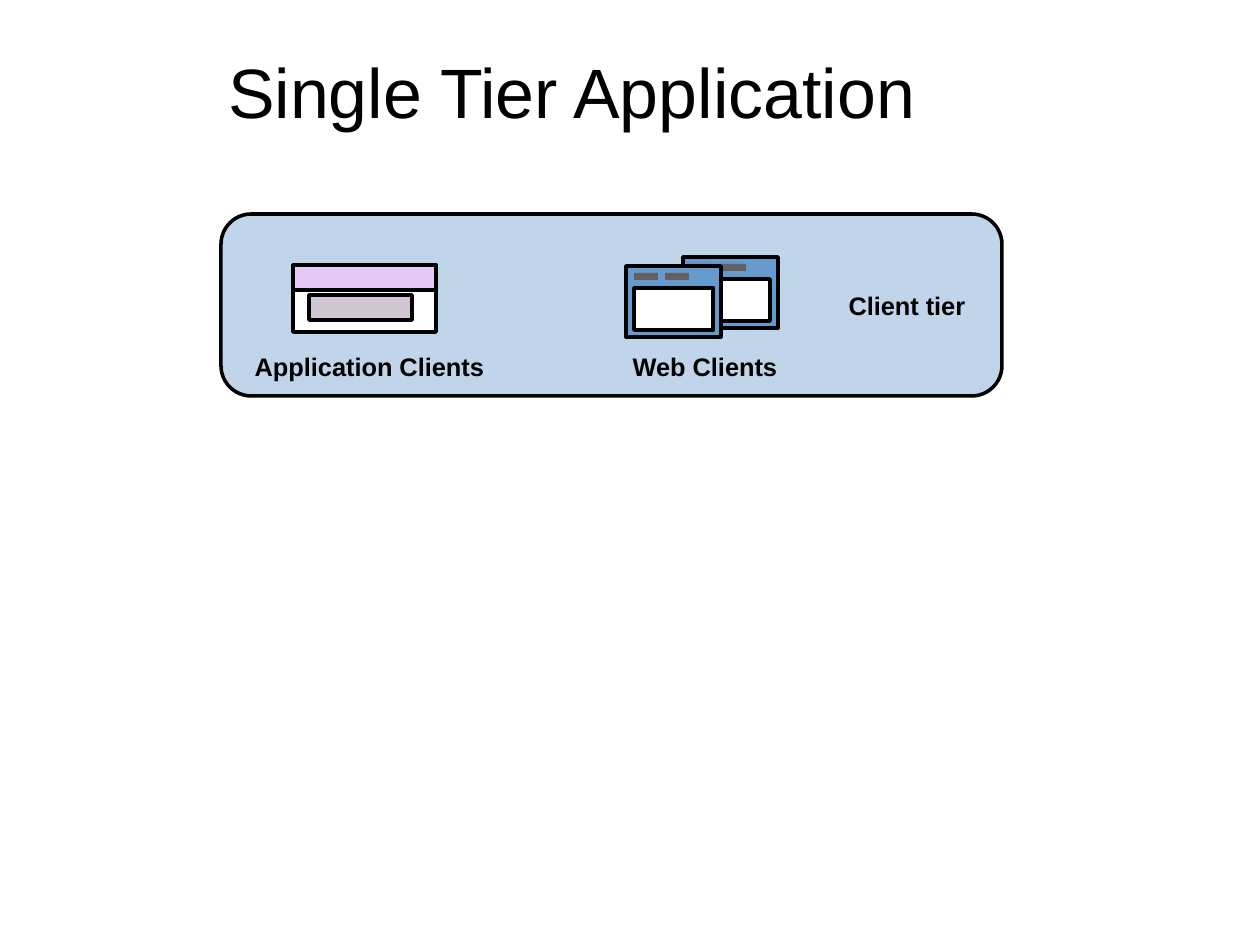
from dataclasses import dataclass

from pptx import Presentation
from pptx import util as u
from pptx.dml.color import RGBColor
from pptx.enum import shapes, text
from pptx.shapes.autoshape import Shape
from pptx.shapes.shapetree import GroupShapes, SlideShapes
from pptx.text.text import TextFrame

PX = 8000
SLIDE_WIDTH = 1260
SLIDE_HEIGHT = 945
KIND = shapes.MSO_SHAPE


@dataclass(frozen=True)
class Theme:
    font: str = "Arial"
    title_size: int = 44
    label_size: int = 16
    line_width: float = 2.25
    ink: str = "000000"
    paper: str = "FFFFFF"
    tier: str = "C0D5EA"
    app_bar: str = "E7C9F5"
    app_field: str = "D0C5D3"
    browser: str = "6699CC"
    tab: str = "616161"


THEME = Theme()


@dataclass(frozen=True)
class Box:
    left: int
    top: int
    width: int
    height: int

    def emu(self) -> tuple[int, int, int, int]:
        return self.left * PX, self.top * PX, self.width * PX, self.height * PX

    def inner(self, dx: int, dy: int, width: int, height: int) -> "Box":
        return Box(self.left + dx, self.top + dy, width, height)


@dataclass(frozen=True)
class Label:
    wording: str
    box: Box


TITLE = Label("Single Tier Application", Box(77, 55, 990, 110))
CLIENT_TIER = Box(221, 214, 781, 182)
APP_WINDOW = Box(293, 265, 143, 67)
BROWSERS = [Box(683, 257, 95, 71), Box(626, 266, 95, 71)]
LABELS = [
    Label("Application Clients", Box(222, 345, 295, 42)),
    Label("Web Clients", Box(530, 345, 350, 42)),
    Label("Client tier", Box(807, 285, 200, 42)),
]


def draw_panel(canvas: SlideShapes | GroupShapes, box: Box, fill: str,
               kind: KIND = KIND.RECTANGLE, outlined: bool = True) -> Shape:
    panel = canvas.add_shape(kind, *box.emu())
    panel.shadow.inherit = False
    panel.fill.solid()
    panel.fill.fore_color.rgb = RGBColor.from_string(fill)
    if outlined:
        panel.line.color.rgb = RGBColor.from_string(THEME.ink)
        panel.line.width = u.Pt(THEME.line_width)
    else:
        panel.line.fill.background()
    return panel


def draw_app_window(canvas: SlideShapes, box: Box) -> None:
    window = canvas.add_group_shape().shapes
    draw_panel(window, box, THEME.paper, KIND.FLOWCHART_PROCESS)
    draw_panel(window, box.inner(0, 0, box.width, 25), THEME.app_bar)
    draw_panel(window, box.inner(16, 30, 103, 25), THEME.app_field)


def draw_browser(canvas: SlideShapes, box: Box) -> None:
    browser = canvas.add_group_shape().shapes
    draw_panel(browser, box, THEME.browser)
    draw_panel(browser, box.inner(8, 22, 79, 42), THEME.paper)
    for tab in range(2):
        draw_panel(browser, box.inner(8 + 31 * tab, 7, 24, 7), THEME.tab, outlined=False)


def write(frame: TextFrame, wording: str, size: int, bold: bool) -> None:
    frame.text = wording
    frame.word_wrap = True
    frame.auto_size = text.MSO_AUTO_SIZE.NONE
    frame.vertical_anchor = text.MSO_ANCHOR.TOP
    paragraph = frame.paragraphs[0]
    paragraph.alignment = text.PP_ALIGN.CENTER
    paragraph.font.name = THEME.font
    paragraph.font.size = u.Pt(size)
    paragraph.font.bold = bold
    paragraph.font.color.rgb = RGBColor.from_string(THEME.ink)


def draw_label(canvas: SlideShapes, label: Label) -> None:
    frame = canvas.add_textbox(*label.box.emu()).text_frame
    write(frame, label.wording, THEME.label_size, True)


def place_title(canvas: SlideShapes, label: Label) -> None:
    title = canvas.title
    title.left, title.top, title.width, title.height = label.box.emu()
    frame = title.text_frame
    write(frame, label.wording, THEME.title_size, False)
    frame.margin_left = frame.margin_right = PX
    frame.margin_top = frame.margin_bottom = PX
    frame.paragraphs[0].line_spacing = 0.93


def main() -> None:
    deck = Presentation()
    deck.slide_width = SLIDE_WIDTH * PX
    deck.slide_height = SLIDE_HEIGHT * PX
    canvas = deck.slides.add_slide(deck.slide_layouts[5]).shapes
    place_title(canvas, TITLE)
    draw_panel(canvas, CLIENT_TIER, THEME.tier, KIND.FLOWCHART_ALTERNATE_PROCESS)
    draw_app_window(canvas, APP_WINDOW)
    for browser in BROWSERS:
        draw_browser(canvas, browser)
    for label in LABELS:
        draw_label(canvas, label)
    deck.save("out.pptx")


if __name__ == "__main__":
    main()
